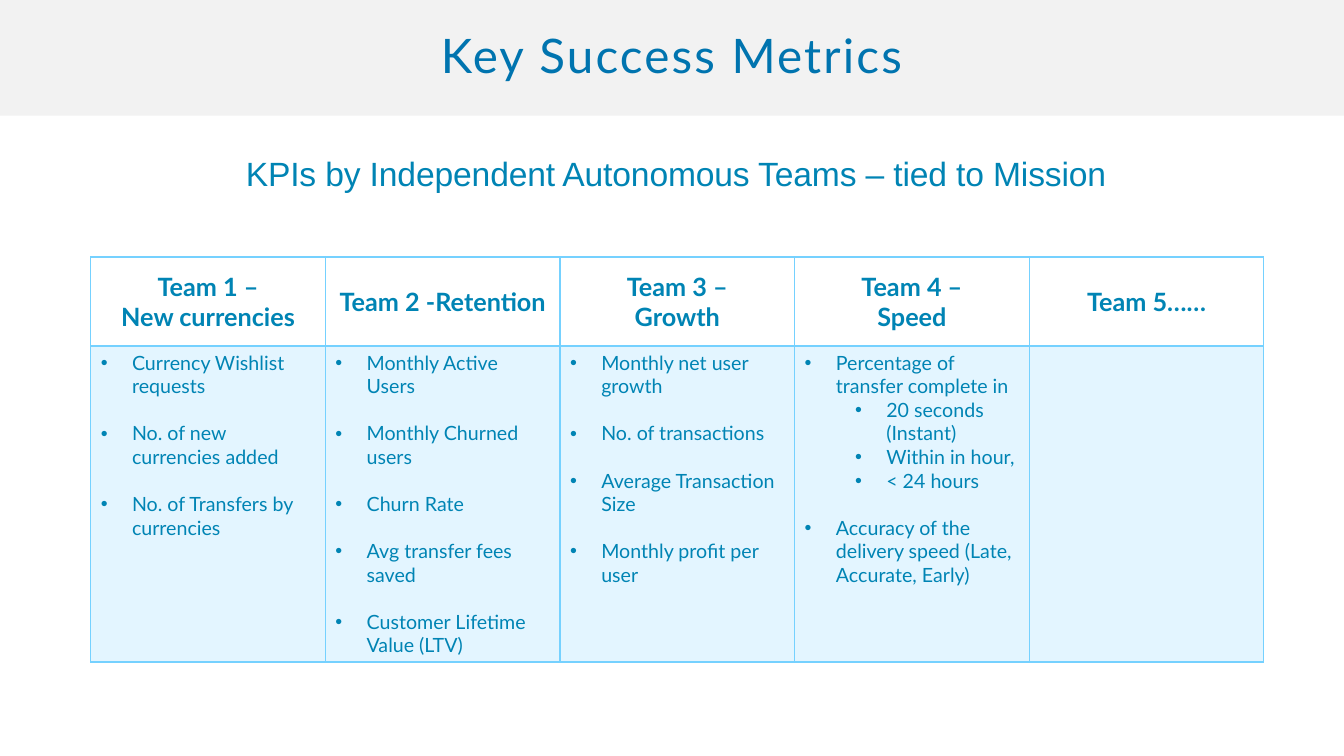
from pptx import Presentation
from pptx.dml.color import RGBColor
from pptx.enum.text import MSO_ANCHOR, MSO_AUTO_SIZE, PP_ALIGN
from pptx.oxml.ns import qn
from pptx.util import Inches, Pt
from lxml import etree

CENTER = PP_ALIGN.CENTER
MIDDLE = MSO_ANCHOR.MIDDLE
NO_FIT = MSO_AUTO_SIZE.NONE
TITLE_ONLY = 5
WIDTH, HEIGHT = Inches(13.33), Inches(7.5)
COLORS = {"band": "F2F2F2", "title": "0074AF", "text": "0084B4", "grid": "75D1FF"}
BODY_SIZE = 14
ITEM_GAP = Pt(BODY_SIZE * 1.2)
HANGING = Inches(0.31)
SUB_INDENT = Inches(0.5)
HEADER_SHARE = 0.22

TEAMS = [
    (["Team 1 –", "New currencies"],
     [("Currency Wishlist requests", []),
      ("No. of new currencies added", []),
      ("No. of Transfers by currencies", [])]),
    (["Team 2 -Retention"],
     [("Monthly Active Users", []),
      ("Monthly Churned users", []),
      ("Churn Rate", []),
      ("Avg transfer fees saved", []),
      ("Customer Lifetime Value (LTV)", [])]),
    (["Team 3 –", "Growth"],
     [("Monthly net user growth", []),
      ("No. of transactions", []),
      ("Average Transaction Size", []),
      ("Monthly profit per user", [])]),
    (["Team 4 –", "Speed"],
     [("Percentage of transfer complete in",
       ["20 seconds (Instant)", "Within in hour,", "< 24 hours"]),
      ("Accuracy of the delivery speed (Late, Accurate, Early)", [])]),
    (["Team 5……"], []),
]


def share(left, top, width, height):
    """Turn shares of the slide into a box of lengths."""
    return (round(left * WIDTH), round(top * HEIGHT),
            round(width * WIDTH), round(height * HEIGHT))


def place(shape, box):
    """Move a shape into its box."""
    shape.left, shape.top, shape.width, shape.height = box


def add_span(para, text, size, color="text", font="Lato", bold=False, spacing=0):
    """Add one formatted run to a paragraph."""
    span = para.add_run()
    span.text = text
    span.font.size = Pt(size)
    span.font.name = font
    span.font.bold = bold
    span.font.color.rgb = RGBColor.from_string(COLORS[color])
    if spacing:
        span.font._element.set("spc", str(round(spacing * 100)))


def next_para(frame, index):
    """Return the first paragraph of a frame or append a new one."""
    return frame.add_paragraph() if index else frame.paragraphs[0]


def add_bullet(para, level):
    """Give a paragraph a hanging bullet at its level."""
    para.level = level
    properties = para._p.get_or_add_pPr()
    properties.set("marL", str(HANGING + level * SUB_INDENT))
    properties.set("indent", str(-HANGING))
    etree.SubElement(properties, qn("a:buFont"), typeface="Arial")
    etree.SubElement(properties, qn("a:buChar"), char="•")


def add_borders(cell, bottom):
    """Draw the four borders of a cell, with its own bottom width."""
    properties = cell._tc.get_or_add_tcPr()
    for index, side in enumerate("LRTB"):
        width = Pt(bottom if side == "B" else 1)
        line = etree.Element(qn("a:ln" + side), w=str(width))
        fill = etree.SubElement(line, qn("a:solidFill"))
        etree.SubElement(fill, qn("a:srgbClr"), val=COLORS["grid"])
        properties.insert(index, line)


def fill_header(cell, lines):
    """Write a team name centred in its header cell."""
    cell.fill.background()
    cell.vertical_anchor = MIDDLE
    for index, text in enumerate(lines):
        para = next_para(cell.text_frame, index)
        para.alignment = CENTER
        add_span(para, text, 18, bold=True)
    add_borders(cell, 2)


def fill_metrics(cell, metrics):
    """Write the bulleted metrics of a team in a tinted cell."""
    cell.fill.solid()
    cell.fill.fore_color.rgb = RGBColor.from_string(COLORS["grid"])
    tint = cell._tc.tcPr.find(qn("a:solidFill")).find(qn("a:srgbClr"))
    etree.SubElement(tint, qn("a:alpha"), val="20000")
    entries = [(text, level)
               for metric, details in metrics
               for text, level in [(metric, 0)] + [(item, 1) for item in details]]
    for index, (text, level) in enumerate(entries):
        para = next_para(cell.text_frame, index)
        if index and level == 0:
            para.space_before = ITEM_GAP
        add_bullet(para, level)
        add_span(para, text, BODY_SIZE)
    add_borders(cell, 1)


def add_title(page, box):
    """Set the title placeholder as a band across the page."""
    title = page.shapes.title
    place(title, box)
    title.fill.solid()
    title.fill.fore_color.rgb = RGBColor.from_string(COLORS["band"])
    frame = title.text_frame
    frame.auto_size = NO_FIT
    frame.vertical_anchor = MIDDLE
    frame.margin_left = frame.margin_right = Inches(0.5)
    para = frame.paragraphs[0]
    para.alignment = CENTER
    para.line_spacing = 0.9
    add_span(para, "Key Success Metrics", 34, "title", spacing=1.6)


def add_subtitle(page, box):
    """Add the line that introduces the table."""
    frame = page.shapes.add_textbox(*box).text_frame
    frame.word_wrap = True
    add_span(frame.paragraphs[0], "KPIs by Independent Autonomous Teams – tied to Mission",
             24, font="Arial", spacing=-0.1)


def add_metrics_table(page, box):
    """Add the table with one column per team."""
    table = page.shapes.add_table(2, len(TEAMS), *box).table
    table.first_row = table.horz_banding = False
    height = box[3]
    table.rows[0].height = round(height * HEADER_SHARE)
    table.rows[1].height = height - table.rows[0].height
    for column, (name, metrics) in enumerate(TEAMS):
        fill_header(table.cell(0, column), name)
        fill_metrics(table.cell(1, column), metrics)


def main():
    """Build and save the deck."""
    deck = Presentation()
    deck.slide_width, deck.slide_height = WIDTH, HEIGHT
    page = deck.slides.add_slide(deck.slide_layouts[TITLE_ONLY])
    add_title(page, share(0, 0, 1, 0.153))
    add_subtitle(page, share(0.1755, 0.196, 0.67, 0.067))
    add_metrics_table(page, share(0.0675, 0.34, 0.873, 0.535))
    deck.save("out.pptx")


if __name__ == "__main__":
    main()
